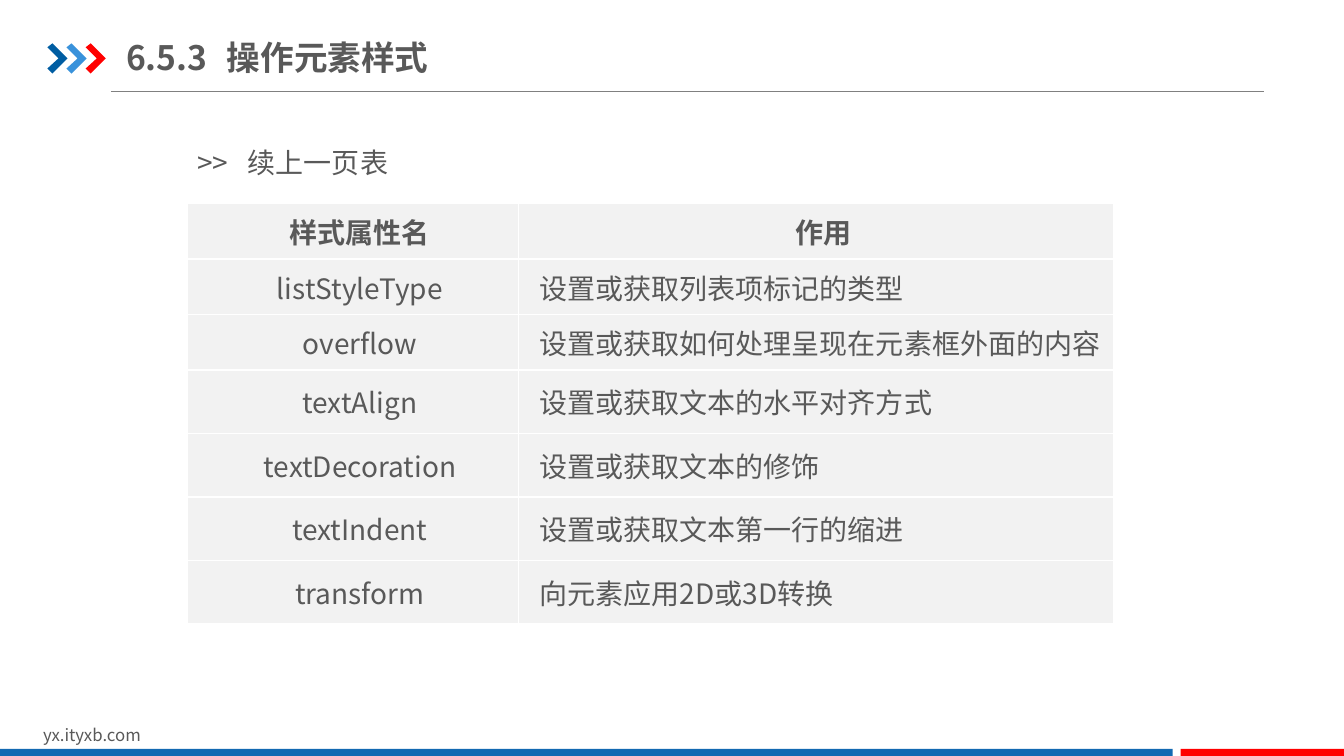
from lxml.etree import SubElement
from pptx import Presentation
from pptx.dml.color import RGBColor
from pptx.enum.shapes import MSO_CONNECTOR as Connector, MSO_SHAPE as Shape
from pptx.enum.text import MSO_ANCHOR as Anchor, MSO_AUTO_SIZE as AutoSize, PP_ALIGN as Align
from pptx.oxml.ns import qn
from pptx.util import Inches, Pt

TITLE = "6.5.3\t操作元素样式"
SUBTITLE = ">>\t续上一页表"
WEBSITE = "yx.ityxb.com"
STYLE_ROWS = [
    ("样式属性名", "作用"),
    ("listStyleType", "设置或获取列表项标记的类型"),
    ("overflow", "设置或获取如何处理呈现在元素框外面的内容"),
    ("textAlign", "设置或获取文本的水平对齐方式"),
    ("textDecoration", "设置或获取文本的修饰"),
    ("textIndent", "设置或获取文本第一行的缩进"),
    ("transform", "向元素应用2D或3D转换"),
]

FONT = "Noto Sans CJK SC"
TEXT_GRAY = RGBColor(0x59, 0x59, 0x59)
RULE_GRAY = RGBColor(0x80, 0x80, 0x80)
CELL_GRAY = RGBColor(0xF2, 0xF2, 0xF2)
NAVY = RGBColor(0x00, 0x5D, 0xA2)
SKY = RGBColor(0x39, 0x92, 0xDB)
BLUE = RGBColor(0x13, 0x69, 0xB2)
RED = RGBColor(0xFF, 0x00, 0x00)

WIDTH, HEIGHT = 13.33, 7.5
TABLE_LEFT, TABLE_TOP = 1.86, 2.02
COLUMN_WIDTHS = (3.28, 5.91)
ROW_HEIGHTS = [0.55] * 3 + [0.63] * 4
CHEVRON = [(0, 0.04), (0.05, 0), (0.2, 0.15), (0.05, 0.3), (0, 0.25), (0.11, 0.15)]
CHEVRON_LEFT, CHEVRON_TOP, CHEVRON_STEP = 0.47, 0.43, 0.19
BAR_TOP, BAR_GAP, BLUE_BAR_WIDTH = 7.43, 0.08, 11.63


def write(frame, text, size, bold=False, align=Align.LEFT):
    paragraph = frame.paragraphs[0]
    paragraph.alignment = align
    run = paragraph.add_run()
    run.text = text
    formats = {"name": FONT, "size": Pt(size), "bold": bold}
    for name, value in formats.items():
        setattr(run.font, name, value)
    run.font.color.rgb = TEXT_GRAY
    SubElement(run.font._element, qn("a:ea"), typeface=FONT)
    return paragraph


def paint(shape, color):
    shape.shadow.inherit = False
    shape.fill.solid()
    shape.fill.fore_color.rgb = color
    shape.line.fill.background()


def add_text(slide, box, text, size):
    shape = slide.shapes.add_textbox(*map(Inches, box))
    shape.text_frame.word_wrap = True
    shape.text_frame.auto_size = AutoSize.SHAPE_TO_FIT_TEXT
    return write(shape.text_frame, text, size)


def add_header(slide):
    title = slide.shapes.title
    title.left, title.top, title.width, title.height = map(Inches, (1.25, 0.29, 6.2, 0.55))
    frame_formats = {
        "margin_left": 0, "margin_right": 0,
        "margin_top": Inches(0.07), "margin_bottom": Inches(0.07),
        "vertical_anchor": Anchor.MIDDLE, "auto_size": AutoSize.NONE,
    }
    for name, value in frame_formats.items():
        setattr(title.text_frame, name, value)
    write(title.text_frame, TITLE, 24, bold=True)

    rule = slide.shapes.add_connector(
        Connector.STRAIGHT, *map(Inches, (1.1, 0.91, 12.54, 0.91)))
    rule.line.color.rgb = RULE_GRAY
    rule.line.width = Pt(0.75)
    SubElement(rule._element.spPr, qn("a:effectLst"))

    for index, color in enumerate((NAVY, SKY, RED)):
        left = CHEVRON_LEFT + index * CHEVRON_STEP
        points = [(Inches(left + x), Inches(CHEVRON_TOP + y)) for x, y in CHEVRON]
        builder = slide.shapes.build_freeform(*points[0])
        builder.add_line_segments(points[1:], close=True)
        paint(builder.convert_to_shape(), color)


def add_footer(slide):
    add_text(slide, (0.33, 7.14, 3.18, 0.3), WEBSITE, 12)
    red_left = BLUE_BAR_WIDTH + BAR_GAP
    bars = [(0, BLUE_BAR_WIDTH, BLUE), (red_left, WIDTH - red_left, RED)]
    for left, width, color in bars:
        box = (left, BAR_TOP, width, HEIGHT - BAR_TOP)
        paint(slide.shapes.add_shape(Shape.RECTANGLE, *map(Inches, box)), color)


def add_borders(cell):
    properties = cell._tc.get_or_add_tcPr()
    for side in ("lnL", "lnR", "lnT", "lnB"):
        line = SubElement(properties, qn(f"a:{side}"), w=str(Pt(1)))
        SubElement(SubElement(line, qn("a:solidFill")), qn("a:srgbClr"), val="FFFFFF")


def add_style_table(slide):
    box = (TABLE_LEFT, TABLE_TOP, sum(COLUMN_WIDTHS), sum(ROW_HEIGHTS))
    table = slide.shapes.add_table(
        len(STYLE_ROWS), len(COLUMN_WIDTHS), *map(Inches, box)).table
    for column, width in zip(table.columns, COLUMN_WIDTHS):
        column.width = Inches(width)
    cell_formats = {
        "margin_left": Inches(0.07), "margin_right": Inches(0.07),
        "margin_top": 0, "margin_bottom": 0, "vertical_anchor": Anchor.MIDDLE,
    }
    for row_index, texts in enumerate(STYLE_ROWS):
        table.rows[row_index].height = Inches(ROW_HEIGHTS[row_index])
        for column_index, text in enumerate(texts):
            cell = table.cell(row_index, column_index)
            for name, value in cell_formats.items():
                setattr(cell, name, value)
            add_borders(cell)
            cell.fill.solid()
            cell.fill.fore_color.rgb = CELL_GRAY
            is_header = row_index == 0
            align = Align.CENTER if is_header or column_index == 0 else Align.LEFT
            paragraph = write(cell.text_frame, text, 20, is_header, align)
            paragraph._p.get_or_add_pPr().set("indent", str(Inches(0.14)))


def main():
    presentation = Presentation()
    presentation.slide_width, presentation.slide_height = Inches(WIDTH), Inches(HEIGHT)
    slide = presentation.slides.add_slide(presentation.slide_layouts[5])
    add_header(slide)
    add_footer(slide)
    subtitle = add_text(slide, (TABLE_LEFT, 1.23, 9.06, 0.61), SUBTITLE, 20)
    subtitle.alignment = Align.JUSTIFY
    subtitle.line_spacing = 1.5
    tabs = SubElement(subtitle._p.get_or_add_pPr(), qn("a:tabLst"))
    SubElement(tabs, qn("a:tab"), pos=str(Inches(0.5)), algn="l")
    add_style_table(slide)
    presentation.save("out.pptx")


if __name__ == "__main__":
    main()
